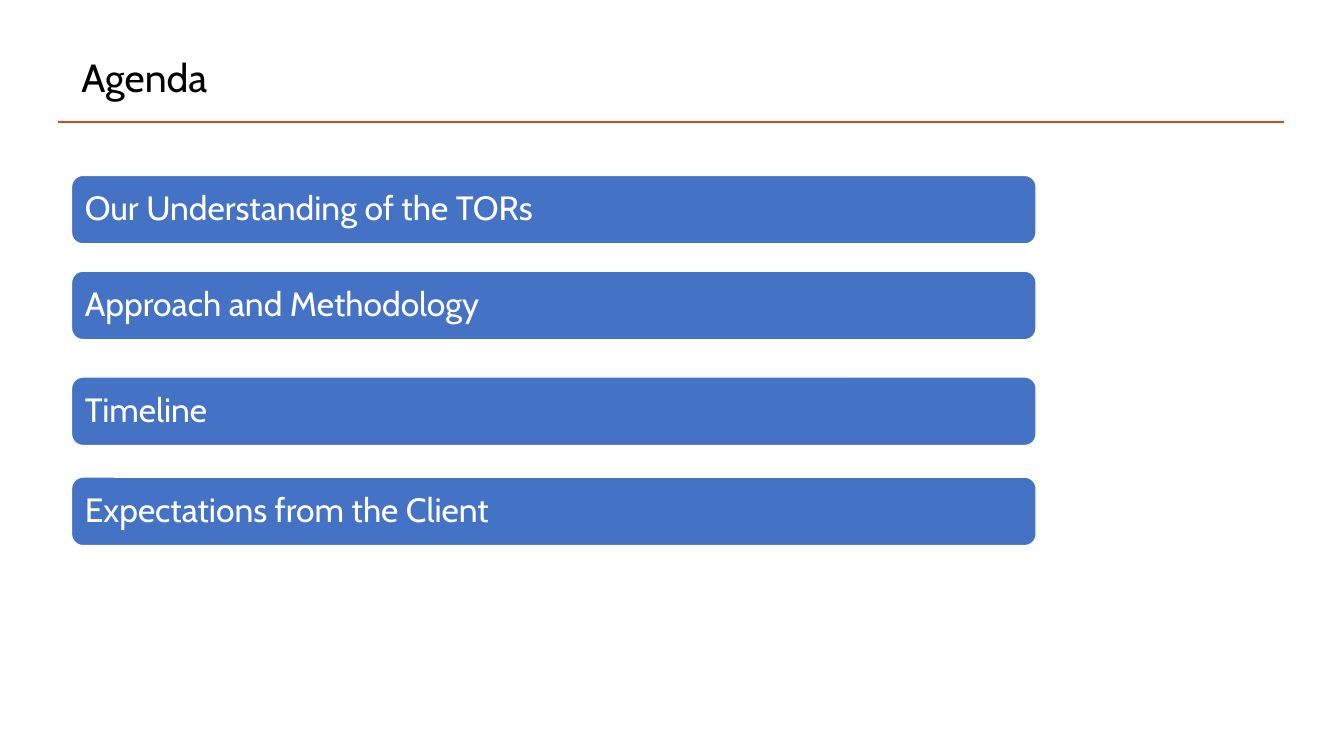
import pptx
import pptx.util
import pptx.dml.color
import pptx.enum.shapes
import pptx.enum.text
import pptx.oxml.ns
from lxml import etree

Pt = pptx.util.Pt
COLORS = {"title": "000000", "rule": "D24726", "bar": "4472C4", "white": "FFFFFF"}
FONT = "Cabin"
BAR_HEIGHT = 48.96
# Each topic with the distance of its bar from the top of the agenda
TOPICS = [
    ("Our Understanding of the TORs", 0),
    ("Approach and Methodology", 68.4),
    ("Timeline", 144),
    ("Expectations from the Client", 215.5),
]


def color(name):
    return pptx.dml.color.RGBColor.from_string(COLORS[name])


def set_text(shape, text, size, color_name):
    frame = shape.text_frame
    frame.text = text
    frame.word_wrap = True
    frame.vertical_anchor = pptx.enum.text.MSO_ANCHOR.MIDDLE
    paragraph = frame.paragraphs[0]
    paragraph.alignment = pptx.enum.text.PP_ALIGN.LEFT
    paragraph.line_spacing = 0.9
    font = paragraph.runs[0].font
    font.name = FONT
    font.size = Pt(size)
    font.color.rgb = color(color_name)


def add_header(slide, left, top, width, height):
    # Rule under the title
    rule_y = top + height
    rule = slide.shapes.add_connector(
        pptx.enum.shapes.MSO_CONNECTOR.STRAIGHT,
        Pt(left), Pt(rule_y), Pt(left + width), Pt(rule_y))
    rule.line.color.rgb = color("rule")
    rule.line.width = Pt(2)
    etree.SubElement(rule.element.spPr, pptx.oxml.ns.qn("a:effectLst"))

    # Title
    title = slide.shapes.add_textbox(
        Pt(left + 9.36), Pt(top), Pt(width - 0.72), Pt(50.4))
    set_text(title, "Agenda", 28, "title")


def add_agenda(slide, left, top, width):
    for topic, offset in TOPICS:
        bar = slide.shapes.add_shape(
            pptx.enum.shapes.MSO_SHAPE.ROUNDED_RECTANGLE,
            Pt(left), Pt(top + offset), Pt(width), Pt(BAR_HEIGHT))
        bar.shadow.inherit = False
        bar.fill.solid()
        bar.fill.fore_color.rgb = color("bar")
        bar.line.color.rgb = color("white")
        bar.line.width = Pt(1)
        set_text(bar, topic, 24, "white")


def main():
    presentation = pptx.Presentation()
    presentation.slide_width = Pt(960)
    presentation.slide_height = Pt(540)
    slide = presentation.slides.add_slide(presentation.slide_layouts[6])
    add_header(slide, 41.76, 31.68, 875.52, 55.44)
    add_agenda(slide, 51.12, 125.28, 689.04)
    presentation.save("out.pptx")


if __name__ == "__main__":
    main()
